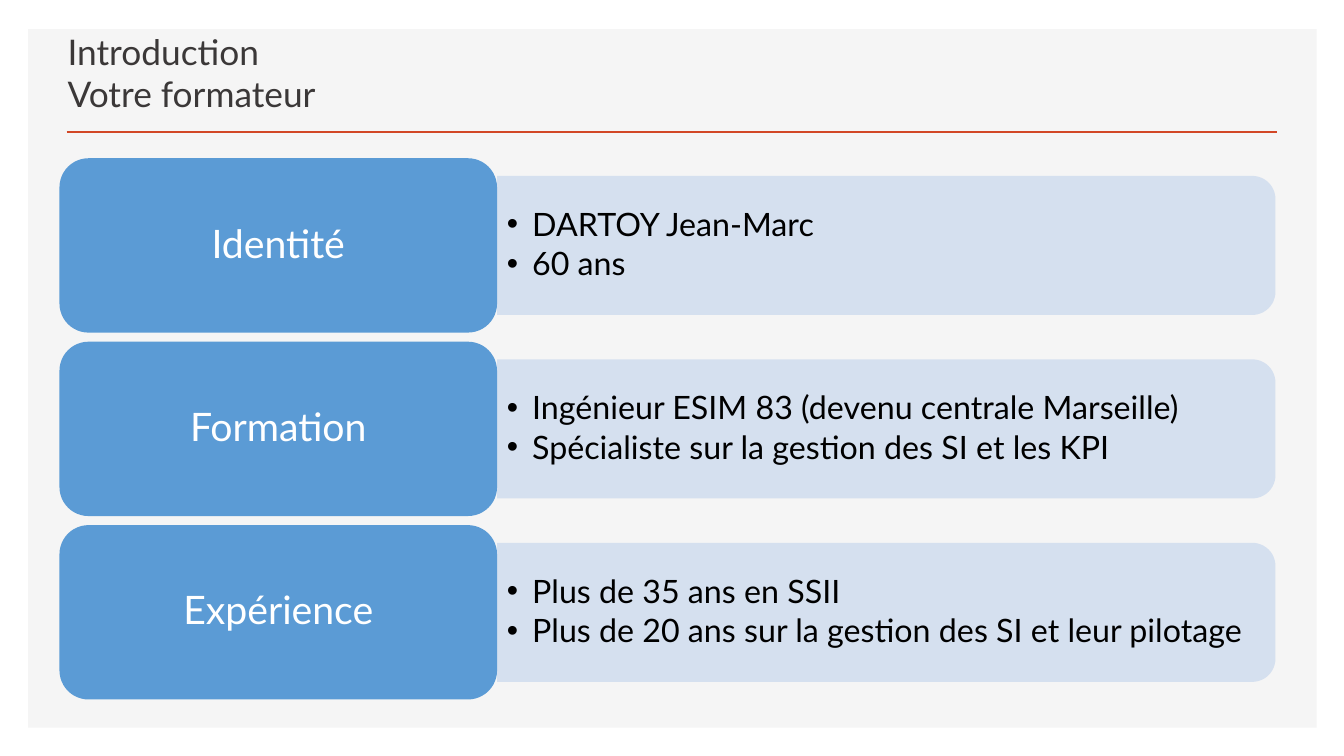
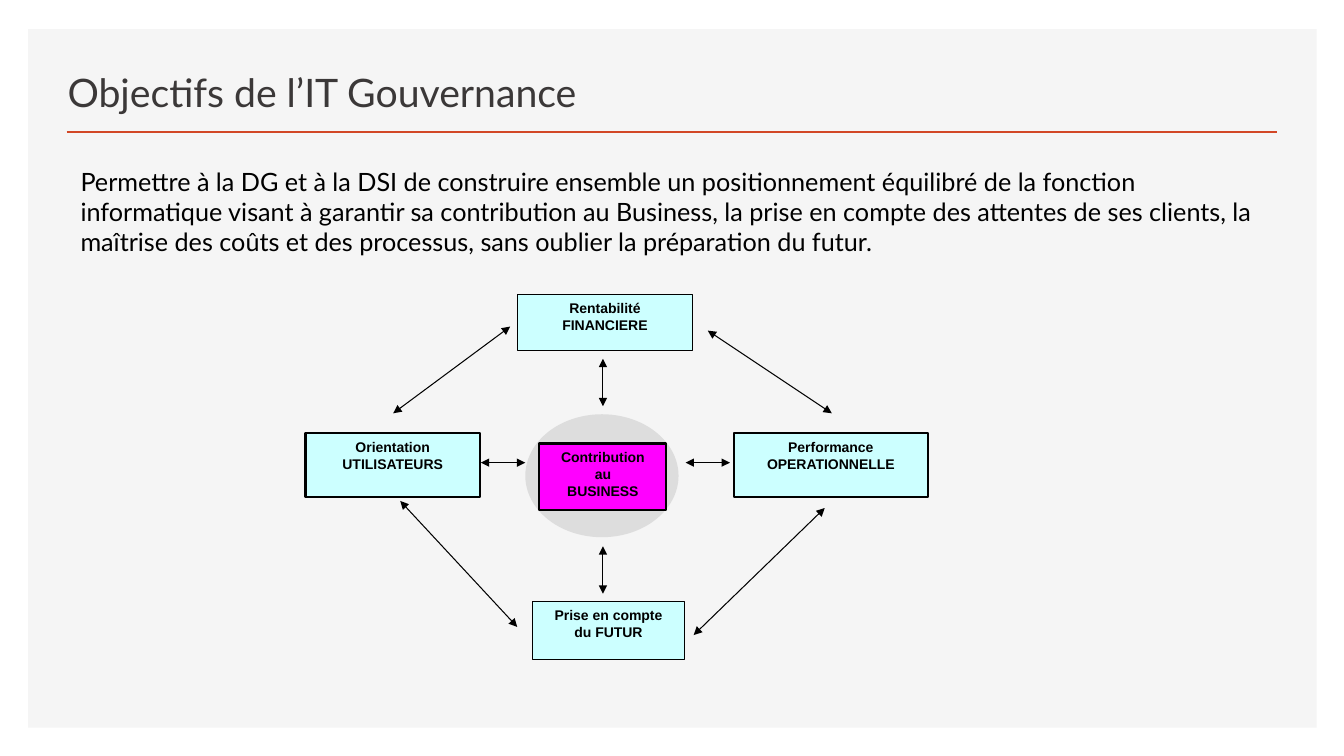
from dataclasses import dataclass

import pptx
import pptx.dml.color
import pptx.enum.shapes
import pptx.enum.text
import pptx.oxml
import pptx.oxml.ns
import pptx.util

SHAPE = pptx.enum.shapes.MSO_SHAPE
ALIGN = pptx.enum.text.PP_ALIGN
ANCHOR = pptx.enum.text.MSO_ANCHOR
STRAIGHT = pptx.enum.shapes.MSO_CONNECTOR.STRAIGHT
PX = 9144  # 100 px to the inch


@dataclass(frozen=True)
class Theme:
    font: str = "Lato"
    diagram_font: str = "Arial"
    panel: str = "F5F5F5"
    rule: str = "D24726"
    title: str = "3B3838"
    ink: str = "000000"
    white: str = "FFFFFF"
    label: str = "5B9BD5"
    bar: str = "D2DEEF"
    bar_alpha: int = 90
    halo: str = "DDDDDD"
    node: str = "CCFFFF"
    core: str = "FF00FF"
    title_size: float = 28
    two_line_title_size: float = 25.2
    label_size: float = 28
    bullet_size: float = 23
    body_size: float = 18
    node_size: float = 10
    rule_width: float = 2
    thin: float = 0.75
    thick: float = 1.5


THEME = Theme()

SLIDE_SIZE = (1333, 750)
PANEL = (28, 29, 1278, 693)
RULE = (66, 131, 1267, 131)
TITLE_BOX = (57, 49, 752, 70)

PROFILE_TITLE = ["Introduction", "Votre formateur"]
PROFILE = [
    ("Identité", ["DARTOY Jean-Marc", "60 ans"]),
    ("Formation", ["Ingénieur ESIM 83 (devenu centrale Marseille)",
                   "Spécialiste sur la gestion des SI et les KPI"]),
    ("Expérience", ["Plus de 35 ans en SSII",
                    "Plus de 20 ans sur la gestion des SI et leur pilotage"]),
]
LABEL_BOX = (59, 157, 434, 173)
ROW_PITCH = 182
BAR_SIZE = (772, 138)
BULLETS_SIZE = (766, 125)

GOALS_TITLE = ["Objectifs de l’IT Gouvernance"]
GOALS_TEXT = (
    "Permettre à la DG et à la DSI de construire ensemble un positionnement "
    "équilibré de la fonction informatique visant à garantir sa contribution "
    "au Business, la prise en compte des attentes de ses clients, la maîtrise "
    "des coûts et des processus, sans oublier la préparation du futur."
)
GOALS_BOX = (70, 160, 1199, 101)
HALO = (521, 411, 152, 122)
NODES = [  # lines, box, fill, border width
    (["Rentabilité", "FINANCIERE"], (513, 292, 174, 56), THEME.node, THEME.thin),
    (["Orientation", "UTILISATEURS"], (303, 430, 173, 63), THEME.node, THEME.thick),
    (["Performance", "OPERATIONNELLE"], (728, 430, 192, 63), THEME.node, THEME.thick),
    (["Contribution", "au", "BUSINESS"], (535, 440, 126, 66), THEME.core, THEME.thick),
    (["Prise en compte", "du FUTUR"], (528, 597, 151, 57), THEME.node, THEME.thin),
]
ARROWS = [  # x1, y1, x2, y2
    (477, 459, 521, 459), (680, 459, 724, 459),
    (598, 356, 598, 403), (598, 542, 598, 589),
    (390, 410, 506, 324), (702, 328, 825, 410),
    (397, 497, 513, 622), (688, 630, 818, 504),
]


def emu(values):
    return [pptx.util.Emu(round(value * PX)) for value in values]


def rgb(color):
    return pptx.dml.color.RGBColor.from_string(color)


def element(tag, **attributes):
    node = pptx.oxml.parse_xml(f"<{tag} {pptx.oxml.ns.nsdecls('a')}/>")
    for name, value in attributes.items():
        node.set(name, str(value))
    return node


def style_font(font, size, color, name=THEME.font, bold=False):
    font.name = name
    font.size = pptx.util.Pt(size)
    font.color.rgb = rgb(color)
    font.bold = bold


def add_box(slide, kind, box, fill, border=None):
    shape = slide.shapes.add_shape(kind, *emu(box))
    shape.shadow.inherit = False
    shape.fill.solid()
    shape.fill.fore_color.rgb = rgb(fill)
    if border:
        shape.line.color.rgb = rgb(THEME.ink)
        shape.line.width = pptx.util.Pt(border)
    else:
        shape.line.fill.background()
    return shape


def add_line(slide, ends, color, width, arrows=False):
    line = slide.shapes.add_connector(STRAIGHT, *emu(ends))
    line.line.color.rgb = rgb(color)
    line.line.width = pptx.util.Pt(width)
    if arrows:
        outline = line.line._get_or_add_ln()
        for tag in ("a:headEnd", "a:tailEnd"):
            outline.append(element(tag, type="triangle"))
    line._element.spPr.append(element("a:effectLst"))
    return line


def write(frame, lines, size, color, anchor=ANCHOR.TOP, align=ALIGN.LEFT,
          bullets=False, spacing=None, **font_style):
    """Fill a text frame with one paragraph per line."""
    frame.word_wrap = True
    frame.vertical_anchor = anchor
    for index, text in enumerate(lines):
        para = frame.add_paragraph() if index else frame.paragraphs[0]
        para.alignment = align
        if spacing:
            para.line_spacing = spacing
        if bullets:
            para.space_after = pptx.util.Pt(round(size * 0.15, 2))
            indent = 25 * PX
            properties = para._p.get_or_add_pPr()
            properties.set("marL", str(indent))
            properties.set("indent", str(-indent))
            properties.append(element("a:buFont", typeface="Arial"))
            properties.append(element("a:buChar", char="•"))
        span = para.add_run()
        span.text = text
        style_font(span.font, size, color, **font_style)


def add_text(slide, box, lines, size, **options):
    frame = slide.shapes.add_textbox(*emu(box)).text_frame
    write(frame, lines, size, THEME.ink, **options)


def place(shape, box):
    shape.left, shape.top, shape.width, shape.height = emu(box)


def furnish_layout(layout, slide):
    """Draw the shared panel and rule, and move them behind the layout's title."""
    place(layout.placeholders[0], TITLE_BOX)
    panel = add_box(slide, SHAPE.RECTANGLE, PANEL, THEME.panel)
    rule = add_line(slide, RULE, THEME.rule, THEME.rule_width)
    for position, shape in enumerate((panel, rule), start=2):
        layout.shapes._spTree.insert(position, shape._element)


def set_title(slide, lines, size):
    title = slide.shapes.title
    place(title, TITLE_BOX)
    frame = title.text_frame
    frame.auto_size = pptx.enum.text.MSO_AUTO_SIZE.NONE
    write(frame, lines[:1], size, THEME.title, ANCHOR.BOTTOM)
    para = frame.paragraphs[0]
    for text in lines[1:]:
        para.add_line_break()
        span = para.add_run()
        span.text = text
        style_font(span.font, size, THEME.title)


def add_bar(slide, left, middle):
    """Add a bar rounded on its right side only, centred on a height."""
    length, thickness = BAR_SIZE
    upright = (left + (length - thickness) / 2, middle - length / 2, thickness, length)
    bar = add_box(slide, SHAPE.ROUND_2_SAME_RECTANGLE, upright, THEME.bar)
    bar.rotation = 90
    color = bar._element.spPr.find(".//" + pptx.oxml.ns.qn("a:srgbClr"))
    color.append(element("a:alpha", val=THEME.bar_alpha * 1000))


def build_profile(slide):
    set_title(slide, PROFILE_TITLE, THEME.two_line_title_size)
    left, first_top, width, height = LABEL_BOX
    bar_left = left + width
    for row, (label, facts) in enumerate(PROFILE):
        top = first_top + row * ROW_PITCH
        middle = top + height / 2
        add_bar(slide, bar_left, middle)
        text_width, text_height = BULLETS_SIZE
        add_text(slide, (bar_left, middle - text_height / 2, text_width, text_height),
                 facts, THEME.bullet_size, anchor=ANCHOR.MIDDLE, bullets=True,
                 spacing=0.9)
        card = add_box(slide, SHAPE.ROUNDED_RECTANGLE, (left, top, width, height),
                       THEME.label)
        write(card.text_frame, [label], THEME.label_size, THEME.white,
              ANCHOR.MIDDLE, ALIGN.CENTER, spacing=0.9)


def build_goals(slide):
    set_title(slide, GOALS_TITLE, THEME.title_size)
    add_text(slide, GOALS_BOX, [GOALS_TEXT], THEME.body_size)
    add_box(slide, SHAPE.OVAL, HALO, THEME.halo)
    for lines, box, fill, border in NODES:
        node = add_box(slide, SHAPE.RECTANGLE, box, fill, border)
        write(node.text_frame, lines, THEME.node_size, THEME.ink,
              align=ALIGN.CENTER, name=THEME.diagram_font, bold=True)
    for ends in ARROWS:
        add_line(slide, ends, THEME.ink, THEME.thin, arrows=True)


def main():
    deck = pptx.Presentation()
    deck.slide_width, deck.slide_height = emu(SLIDE_SIZE)
    layout = deck.slide_layouts.get_by_name("Title Only")
    profile, goals = (deck.slides.add_slide(layout) for _ in range(2))
    furnish_layout(layout, profile)
    build_profile(profile)
    build_goals(goals)
    deck.save("out.pptx")


if __name__ == "__main__":
    main()
